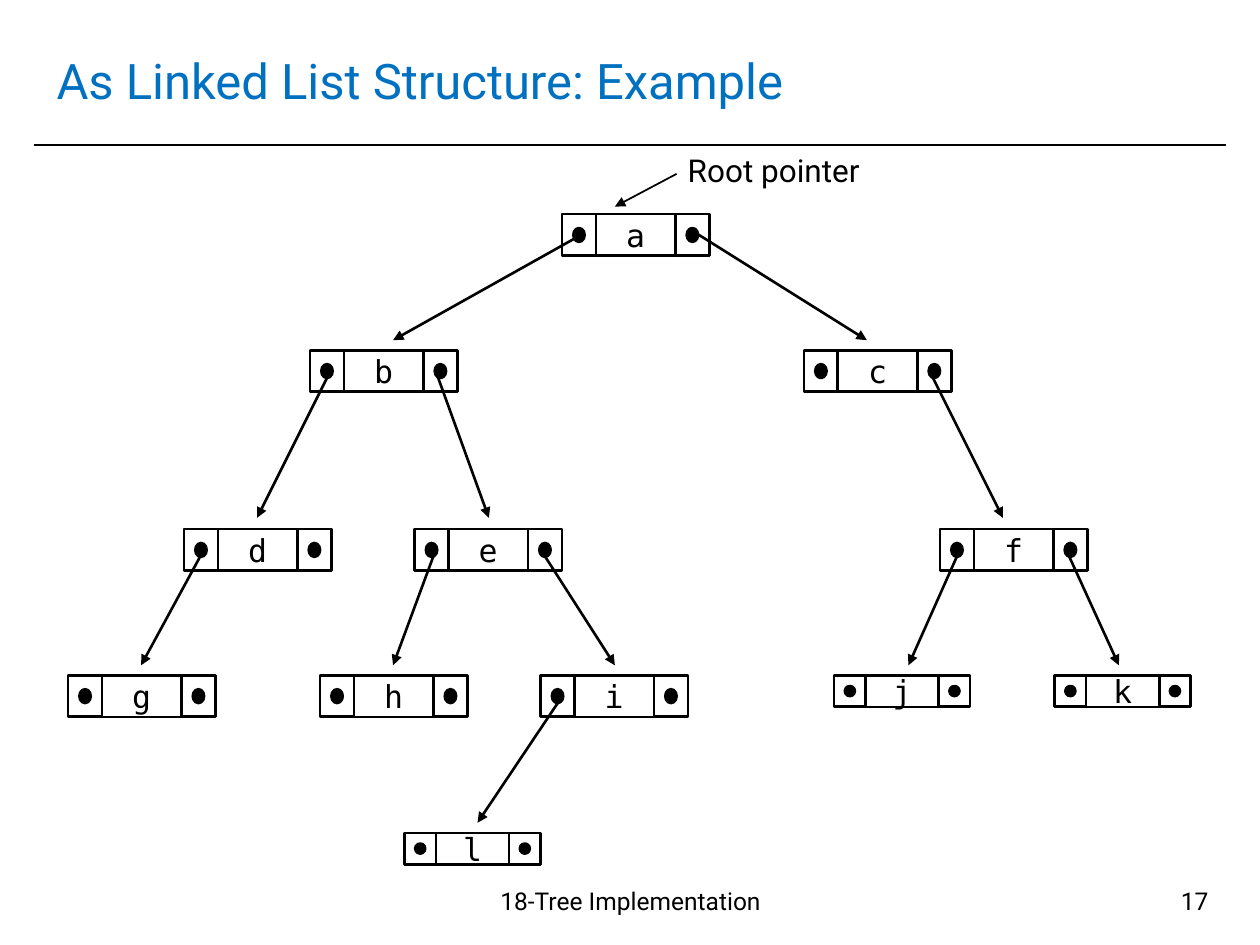
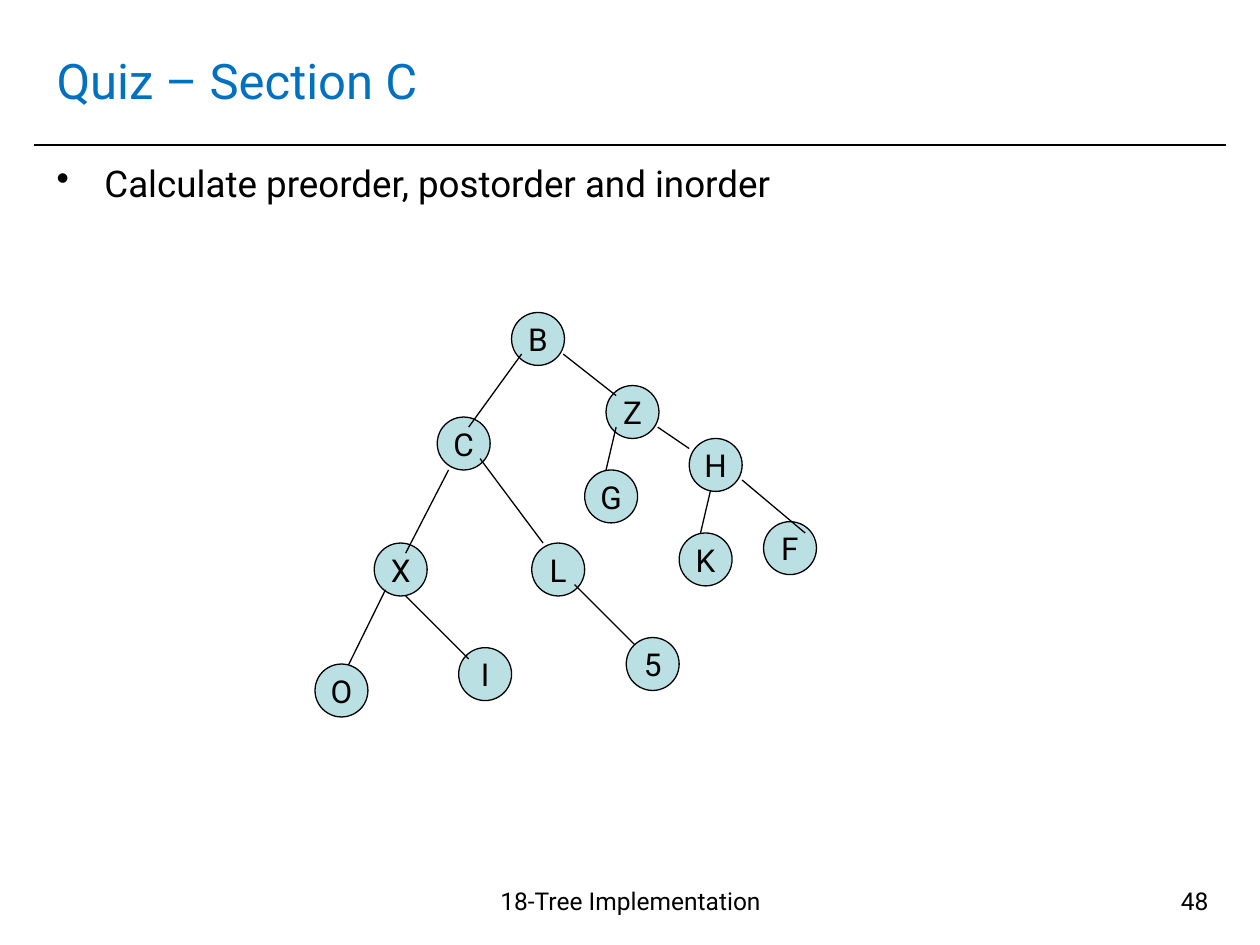
from typing import NamedTuple

from lxml import etree
from pptx import Presentation
from pptx import util as u
from pptx.dml.color import RGBColor
from pptx.enum import shapes, text
from pptx.oxml.ns import qn

BLACK, BLUE, TEAL = "000000", "0070C0", "BBE0E3"
SANS, MONO = "Roboto", "DejaVu Sans Mono"
FOOTER = "18-Tree Implementation"
CIRCLE = 0.42
LEFT, CENTER, RIGHT = text.PP_ALIGN.LEFT, text.PP_ALIGN.CENTER, text.PP_ALIGN.RIGHT


class CellSize(NamedTuple):
    pointer: float
    value: float
    height: float
    dot_width: float
    dot_height: float


class Node(NamedTuple):
    label: str
    left: float
    top: float


class Edge(NamedTuple):
    x1: float
    y1: float
    x2: float
    y2: float


LARGE = CellSize(0.27, 0.63, 0.33, 0.09, 0.11)
SMALL = CellSize(0.25, 0.58, 0.25, 0.08, 0.08)

# Linked structure: nodes by cell size, and pointers from dot to child
LINKED_NODES = {
    LARGE: [
        Node("a", 4.46, 1.7), Node("b", 2.46, 2.78), Node("c", 6.38, 2.78),
        Node("d", 1.46, 4.2), Node("e", 3.29, 4.2), Node("f", 7.46, 4.2),
        Node("g", 0.54, 5.36), Node("h", 2.54, 5.36), Node("i", 4.29, 5.36),
    ],
    SMALL: [Node("j", 6.62, 5.36), Node("k", 8.37, 5.36), Node("l", 3.21, 6.61)],
}
POINTERS = [
    Edge(4.62, 1.86, 3.12, 2.7), Edge(5.54, 1.86, 6.88, 2.7),
    Edge(2.62, 2.95, 2.04, 4.11), Edge(3.46, 2.95, 3.88, 4.11),
    Edge(1.62, 4.36, 1.12, 5.28), Edge(3.46, 4.36, 3.12, 5.28),
    Edge(4.29, 4.36, 4.88, 5.28), Edge(4.46, 5.53, 3.79, 6.53),
    Edge(7.38, 2.95, 7.96, 4.11), Edge(7.62, 4.36, 7.21, 5.28),
    Edge(8.46, 4.36, 8.88, 5.28),
]
ROOT_POINTER = Edge(5.37, 1.38, 4.88, 1.64)

# Quiz tree: the front nodes lie over the ends of their branches
QUIZ_NODES = [
    Node("C", 3.47, 3.31), Node("B", 4.06, 2.48), Node("F", 6.06, 4.14),
    Node("H", 5.47, 3.48), Node("Z", 4.81, 3.06), Node("K", 5.39, 4.23),
    Node("G", 4.64, 3.73), Node("X", 2.97, 4.31), Node("I", 3.64, 5.14),
    Node("L", 4.22, 4.31),
]
BRANCHES = [
    Edge(4.14, 2.81, 3.72, 3.39), Edge(3.56, 3.73, 3.22, 4.39),
    Edge(3.22, 4.73, 3.72, 5.23), Edge(3.81, 3.64, 4.31, 4.31),
    Edge(4.56, 4.64, 5.06, 5.14), Edge(4.47, 2.81, 4.89, 3.14),
    Edge(5.64, 3.89, 5.56, 4.23), Edge(5.89, 3.81, 6.39, 4.23),
    Edge(5.22, 3.39, 5.47, 3.56), Edge(4.89, 3.39, 4.81, 3.73),
    Edge(3.06, 4.68, 2.73, 5.35),
]
FRONT_NODES = [Node("5", 4.97, 5.06), Node("O", 2.5, 5.27)]


def paint(color_format, color: str) -> None:
    color_format.rgb = RGBColor.from_string(color)


def write(box, words: str, size: float, font: str = SANS, color: str = BLACK,
          align=LEFT, anchor=text.MSO_ANCHOR.TOP, wrap: bool = True):
    frame = box.text_frame
    frame.text = words
    frame.word_wrap = wrap
    frame.vertical_anchor = anchor
    para = frame.paragraphs[0]
    para.alignment = align
    span = para.runs[0]
    span.font.size = u.Pt(size)
    span.font.name = font
    paint(span.font.color, color)
    return para


def add_text(page, left: float, top: float, width: float, height: float,
             words: str, size: float, **style):
    box = page.shapes.add_textbox(*map(u.Inches, (left, top, width, height)))
    return write(box, words, size, **style)


def add_box(parent, kind, left: float, top: float, width: float, height: float,
            fill: str | None = None, weight: float = 1.5):
    shape = parent.shapes.add_shape(kind, *map(u.Inches, (left, top, width, height)))
    shape.shadow.inherit = False
    if fill:
        shape.fill.solid()
        paint(shape.fill.fore_color, fill)
    else:
        shape.fill.background()
    paint(shape.line.color, BLACK)
    shape.line.width = u.Pt(weight)
    return shape


def add_line(page, edge: Edge, weight: float, arrow: bool = False) -> None:
    line = page.shapes.add_connector(shapes.MSO_CONNECTOR.STRAIGHT, *map(u.Inches, edge))
    paint(line.line.color, BLACK)
    line.line.width = u.Pt(weight)
    if arrow:
        etree.SubElement(line.line._get_or_add_ln(), qn("a:tailEnd"), type="triangle")
    etree.SubElement(line._element.spPr, qn("a:effectLst"))


def add_linked_node(page, node: Node, size: CellSize) -> None:
    group = page.shapes.add_group_shape()
    value_left = node.left + size.pointer
    for left in (node.left, value_left + size.value):
        add_box(group, shapes.MSO_SHAPE.RECTANGLE, left, node.top, size.pointer, size.height)
        add_box(group, shapes.MSO_SHAPE.OVAL,
                left + (size.pointer - size.dot_width) / 2,
                node.top + (size.height - size.dot_height) / 2,
                size.dot_width, size.dot_height, fill=BLACK)
    value = add_box(group, shapes.MSO_SHAPE.FLOWCHART_PROCESS,
                    value_left, node.top, size.value, size.height)
    write(value, node.label, 18, font=MONO, align=CENTER,
          anchor=text.MSO_ANCHOR.MIDDLE, wrap=False)


def add_quiz_node(page, node: Node) -> None:
    circle = add_box(page, shapes.MSO_SHAPE.OVAL, node.left, node.top,
                     CIRCLE, CIRCLE, fill=TEAL, weight=0.75)
    write(circle, node.label, 18, align=CENTER,
          anchor=text.MSO_ANCHOR.MIDDLE, wrap=False)


def add_page(deck, title: str, number: int):
    """Add a slide with the shared rule, title, footer and page number."""
    page = deck.slides.add_slide(deck.slide_layouts[6])
    add_line(page, Edge(0.27, 1.15, 9.73, 1.15), 1)
    add_text(page, 0.35, 0.21, 9.29, 0.85, title, 28, color=BLUE,
             anchor=text.MSO_ANCHOR.MIDDLE)
    add_text(page, 3.35, 6.98, 3.31, 0.52, FOOTER, 14, align=CENTER)
    add_text(page, 7.36, 6.98, 2.33, 0.52, str(number), 14, align=RIGHT)
    return page


def add_bullet(para) -> None:
    para.space_before = u.Pt(4.2)
    props = para._p.get_or_add_pPr()
    indent = u.Inches(0.38)
    props.set("marL", str(indent))
    props.set("indent", str(-indent))
    etree.SubElement(props, qn("a:buChar"), char="•")


def build_linked_list(deck) -> None:
    page = add_page(deck, "As Linked List Structure: Example", 17)
    for size, nodes in LINKED_NODES.items():
        for node in nodes:
            add_linked_node(page, node, size)
    for pointer in POINTERS:
        add_line(page, pointer, 1.5, arrow=True)
    add_text(page, 5.36, 1.15, 1.65, 0.4, "Root pointer", 18)
    add_line(page, ROOT_POINTER, 1, arrow=True)


def build_quiz(deck) -> None:
    page = add_page(deck, "Quiz – Section C", 48)
    add_bullet(add_text(page, 0.35, 1.23, 9.29, 5.59,
                        "Calculate preorder, postorder and inorder", 21))
    for node in QUIZ_NODES:
        add_quiz_node(page, node)
    for branch in BRANCHES:
        add_line(page, branch, 0.75)
    for node in FRONT_NODES:
        add_quiz_node(page, node)


def main() -> None:
    deck = Presentation()
    deck.slide_width, deck.slide_height = u.Inches(10), u.Inches(7.5)
    build_linked_list(deck)
    build_quiz(deck)
    deck.save("out.pptx")


if __name__ == "__main__":
    main()
